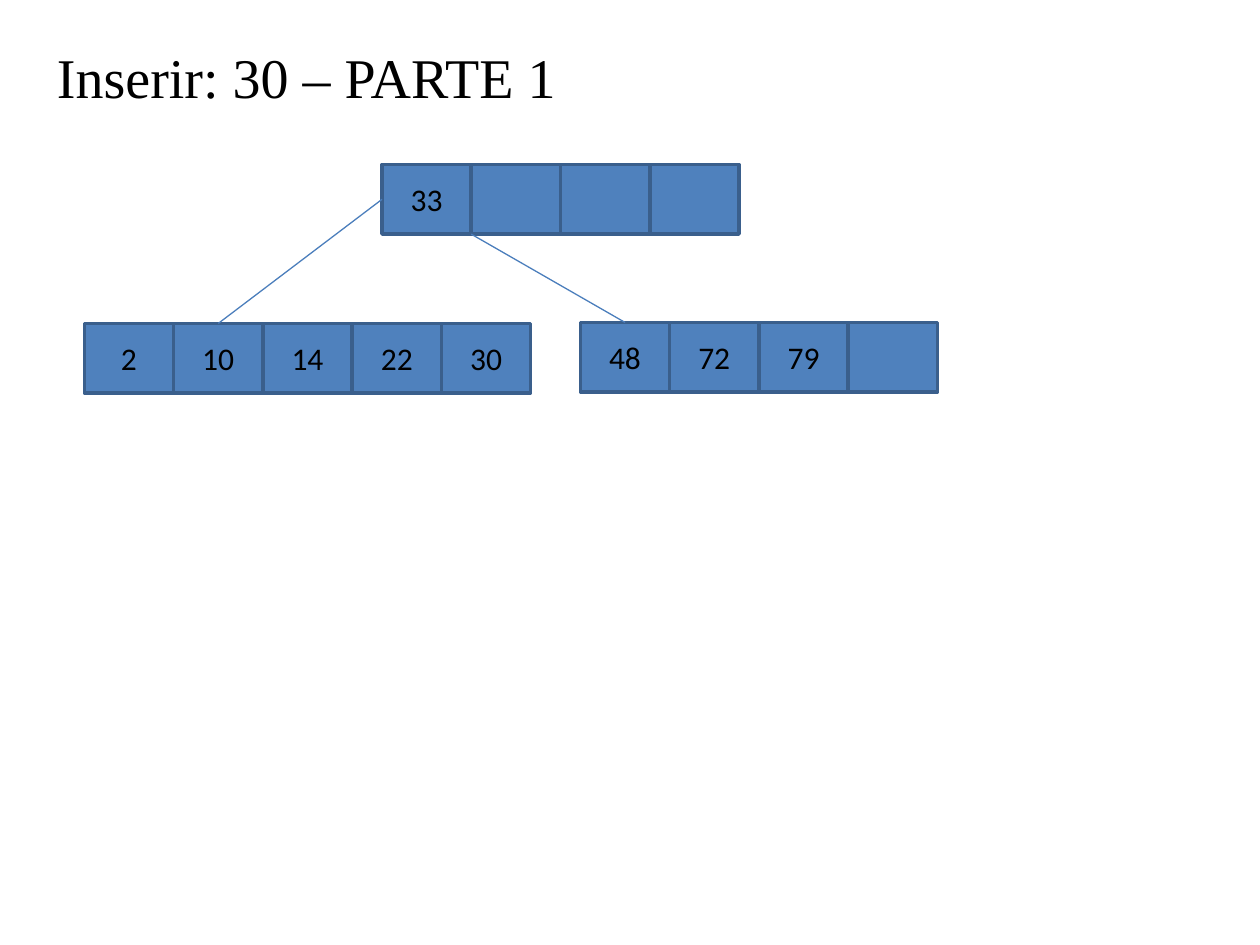
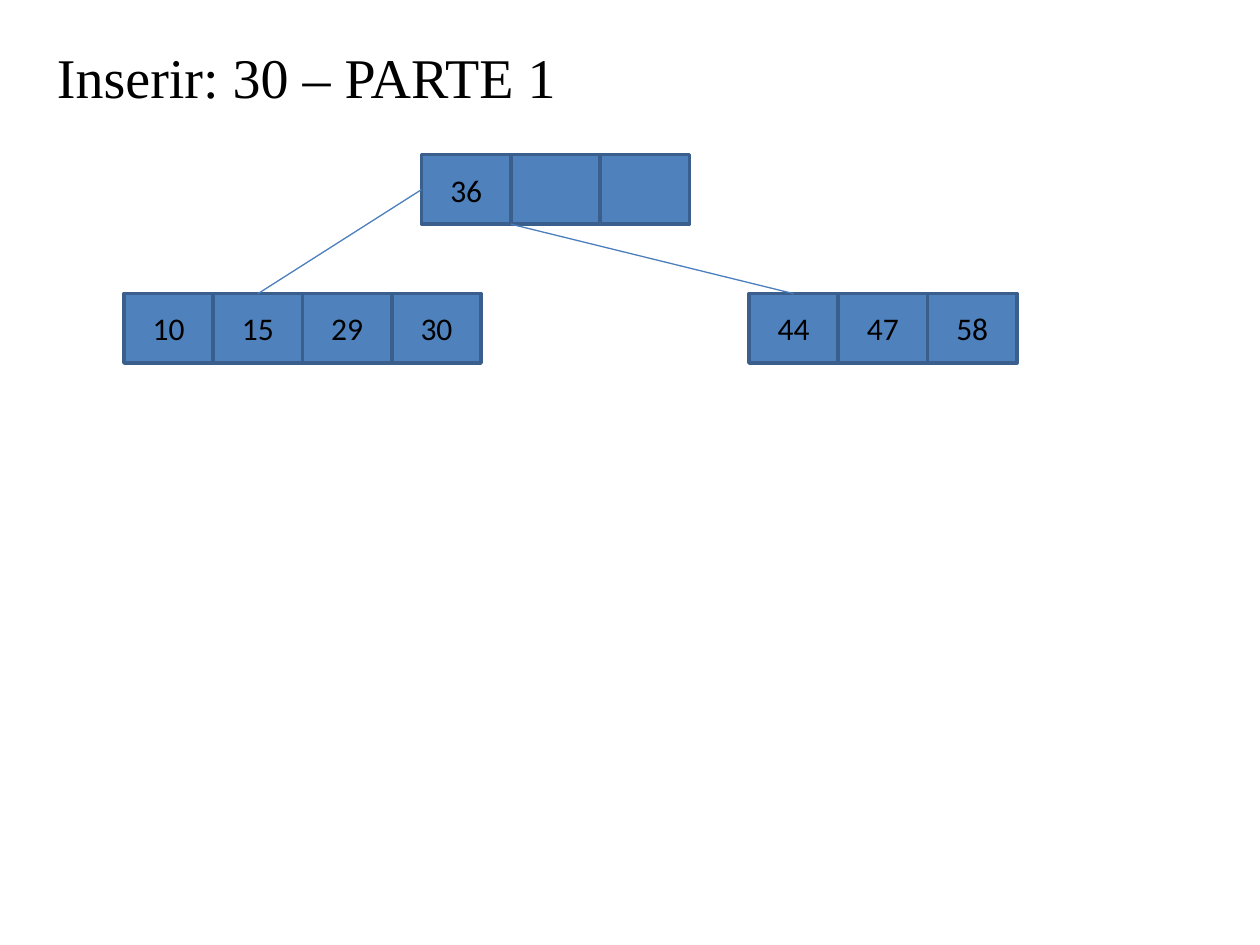
from dataclasses import dataclass

from pptx import Presentation
from pptx.dml.color import RGBColor
from pptx.enum.shapes import MSO_CONNECTOR, MSO_SHAPE
from pptx.enum.text import MSO_ANCHOR, PP_ALIGN
from pptx.oxml.ns import qn
from pptx.slide import Slide
from pptx.text.text import _Paragraph as Paragraph
from pptx.util import Cm, Pt
from lxml.etree import SubElement

CELL_FILL = RGBColor(0x4F, 0x81, 0xBD)
CELL_BORDER = RGBColor(0x3A, 0x5F, 0x8C)
EDGE = RGBColor(0x4B, 0x7E, 0xBC)
INK = RGBColor(0x00, 0x00, 0x00)

CELL_WIDTH = 1.8
CELL_HEIGHT = 1.4


@dataclass(frozen=True)
class Node:
    left: float
    top: float
    keys: tuple[str, ...]

    def cell_left(self, index: int) -> float:
        return self.left + index * CELL_WIDTH

    def cell_top_center(self, index: int) -> tuple[float, float]:
        return self.cell_left(index) + CELL_WIDTH / 2, self.top


@dataclass(frozen=True)
class Tree:
    title: str
    root: Node
    smaller: Node
    larger: Node


TREES = (
    Tree(
        "Inserir: 30 – PARTE 1",
        root=Node(7.7, 3.32, ("33", "", "", "")),
        smaller=Node(1.7, 6.52, ("2", "10", "14", "22", "30")),
        larger=Node(11.7, 6.5, ("48", "72", "79", "")),
    ),
    Tree(
        "Inserir: 30 – PARTE 1",
        root=Node(8.5, 3.12, ("36", "", "")),
        smaller=Node(2.5, 5.92, ("10", "15", "29", "30")),
        larger=Node(15.1, 5.92, ("44", "47", "58")),
    ),
)


def style_text(paragraph: Paragraph, font_name: str, size: float, align: PP_ALIGN) -> None:
    paragraph.alignment = align
    paragraph.font.name = font_name
    paragraph.font.size = Pt(size)
    paragraph.font.color.rgb = INK


def draw_title(slide: Slide, title: str) -> None:
    frame = slide.shapes.add_textbox(Cm(0.9), Cm(0.74), Cm(15), Cm(2.6)).text_frame
    frame.word_wrap = True
    frame.text = title
    style_text(frame.paragraphs[0], "Times New Roman", 32, PP_ALIGN.JUSTIFY)


def draw_node(slide: Slide, node: Node) -> None:
    for index, key in enumerate(node.keys):
        cell = slide.shapes.add_shape(
            MSO_SHAPE.RECTANGLE,
            Cm(node.cell_left(index)), Cm(node.top), Cm(CELL_WIDTH), Cm(CELL_HEIGHT),
        )
        cell.shadow.inherit = False
        cell.fill.solid()
        cell.fill.fore_color.rgb = CELL_FILL
        cell.line.color.rgb = CELL_BORDER
        cell.line.width = Pt(2)
        if key:
            cell.text_frame.text = key
            cell.text_frame.vertical_anchor = MSO_ANCHOR.MIDDLE
            style_text(cell.text_frame.paragraphs[0], "Calibri", 18, PP_ALIGN.CENTER)


def draw_edge(slide: Slide, start: tuple[float, float], end: tuple[float, float]) -> None:
    edge = slide.shapes.add_connector(
        MSO_CONNECTOR.STRAIGHT, *(Cm(length) for length in (*start, *end))
    )
    edge.line.color.rgb = EDGE
    edge.line.width = Pt(0.75)
    SubElement(edge._element.spPr, qn("a:effectLst"))


def draw_tree(slide: Slide, tree: Tree) -> None:
    draw_title(slide, tree.title)
    for node in (tree.root, tree.smaller, tree.larger):
        draw_node(slide, node)
    root = tree.root
    draw_edge(slide, (root.left, root.top + CELL_HEIGHT / 2), tree.smaller.cell_top_center(1))
    draw_edge(slide, (root.cell_left(1), root.top + CELL_HEIGHT), tree.larger.cell_top_center(0))


def main() -> None:
    deck = Presentation()
    deck.slide_width = Cm(25.4)
    deck.slide_height = Cm(19.05)
    blank = deck.slide_layouts[6]
    for tree in TREES:
        draw_tree(deck.slides.add_slide(blank), tree)
    deck.save("out.pptx")


if __name__ == "__main__":
    main()
